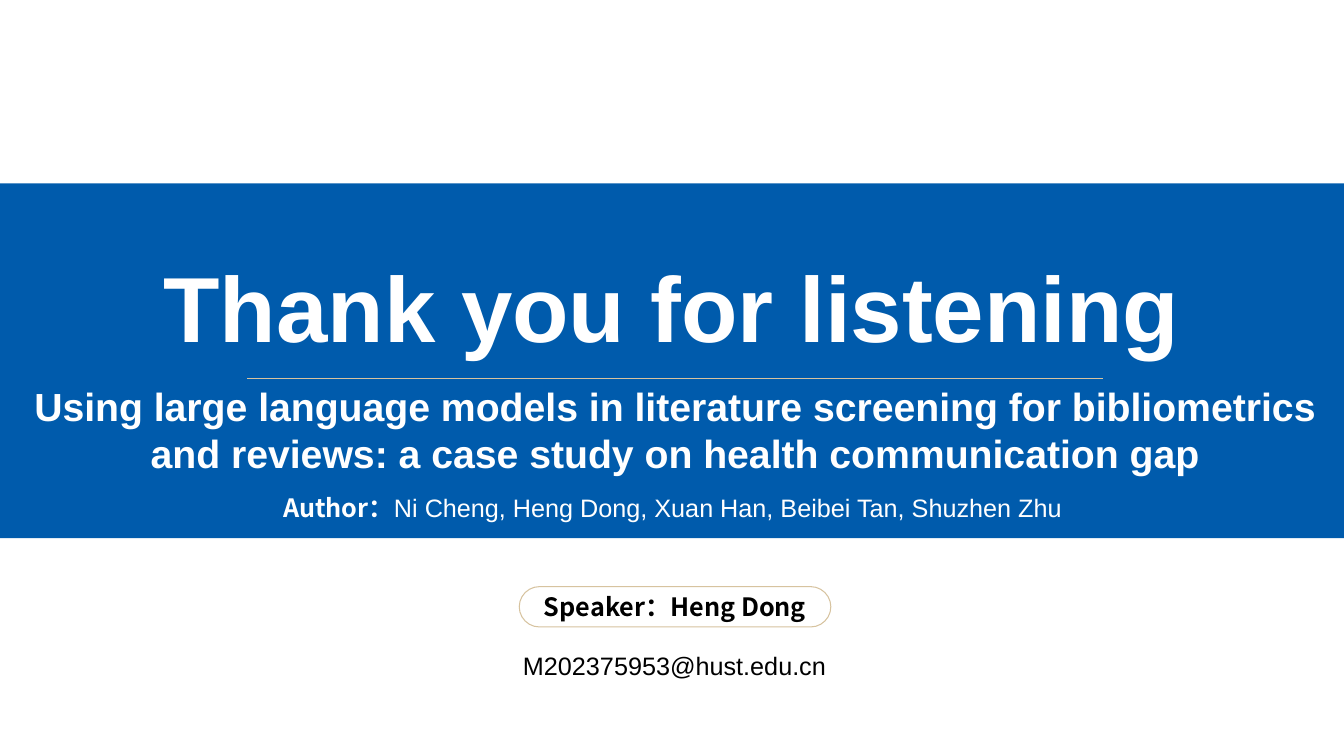
"""Builds the closing slide of a talk: thanks, paper title, authors and speaker."""
from lxml import etree
from pptx import Presentation
from pptx import util as u
from pptx.dml.color import RGBColor
from pptx.enum import shapes, text
from pptx.oxml.ns import qn

THEME = {
    "blue": "005BAC", "gold": "D7C39F", "white": "FFFFFF", "black": "000000",
    "latin": "Arial", "cjk": "Noto Sans CJK SC",
    "thanks": 66, "title": 28, "body": 18,
}
SIZE = (13.33, 7.5)
BAND = (0, 1.82, 13.33, 3.52)
RULE = ((2.45, 3.75), (10.94, 3.75))
PILL = (5.15, 5.82, 3.09, 0.4)
SPEAKER = [("Speaker：Heng Dong", "body", "cjk", "black", True)]
TEXTS = [
    ((0.03, 3.79, 13.33, 0.94), (0, 0),
     [("Using large language models in literature screening for bibliometrics "
       "and reviews: a case study on health communication gap",
       "title", "latin", "white", True)]),
    ((1.36, 4.88, 10.62, 0.3), (0, 0),
     [("Author：", "body", "cjk", "white", True),
      ("Ni Cheng, Heng Dong, Xuan Han, Beibei Tan, Shuzhen Zhu",
       "body", "latin", "white", False)]),
    ((0, 2.48, 13.33, 1.11), (0, 0),
     [("Thank you for listening", "thanks", "latin", "white", True)]),
    ((3.84, 6.4, 5.7, 0.4), (0.1, 0.05),
     [("M202375953@hust.edu.cn", "body", "latin", "black", False)]),
]


def color(name):
    return RGBColor.from_string(THEME[name])


def inches(values):
    return [u.Inches(v) for v in values]


def write(tf, runs, inset=(0, 0)):
    tf.word_wrap = True
    tf.margin_left = tf.margin_right = u.Inches(inset[0])
    tf.margin_top = tf.margin_bottom = u.Inches(inset[1])
    p = tf.paragraphs[0]
    p.alignment = text.PP_ALIGN.CENTER
    for words, size, font, ink, bold in runs:
        r = p.add_run()
        r.text = words
        r.font.size = u.Pt(THEME[size])
        r.font.bold = bold
        r.font.color.rgb = color(ink)
        r.font.name = THEME[font]
        ea = etree.SubElement(r.font._element, qn("a:ea"))
        ea.set("typeface", THEME[font])


def add_box(s, kind, at):
    sp = s.shapes.add_shape(kind, *inches(at))
    sp.shadow.inherit = False
    return sp


def main():
    prs = Presentation()
    prs.slide_width, prs.slide_height = inches(SIZE)
    s = prs.slides.add_slide(prs.slide_layouts[6])

    band = add_box(s, shapes.MSO_SHAPE.RECTANGLE, BAND)
    band.fill.solid()
    band.fill.fore_color.rgb = color("blue")
    band.line.fill.background()

    pill = add_box(s, shapes.MSO_SHAPE.ROUNDED_RECTANGLE, PILL)
    pill.adjustments[0] = 0.5
    pill.fill.background()
    pill.line.color.rgb = color("gold")
    pill.line.width = u.Pt(0.75)
    pill.text_frame.vertical_anchor = text.MSO_ANCHOR.MIDDLE
    write(pill.text_frame, SPEAKER)

    start, end = RULE
    rule = s.shapes.add_connector(shapes.MSO_CONNECTOR.STRAIGHT, *inches(start + end))
    rule.line.color.rgb = color("gold")
    rule.line.width = u.Pt(0.5)
    etree.SubElement(rule._element.spPr, qn("a:effectLst"))

    for at, inset, runs in TEXTS:
        tf = s.shapes.add_textbox(*inches(at)).text_frame
        write(tf, runs, inset)
        tf.auto_size = text.MSO_AUTO_SIZE.SHAPE_TO_FIT_TEXT

    prs.save("out.pptx")


if __name__ == "__main__":
    main()
